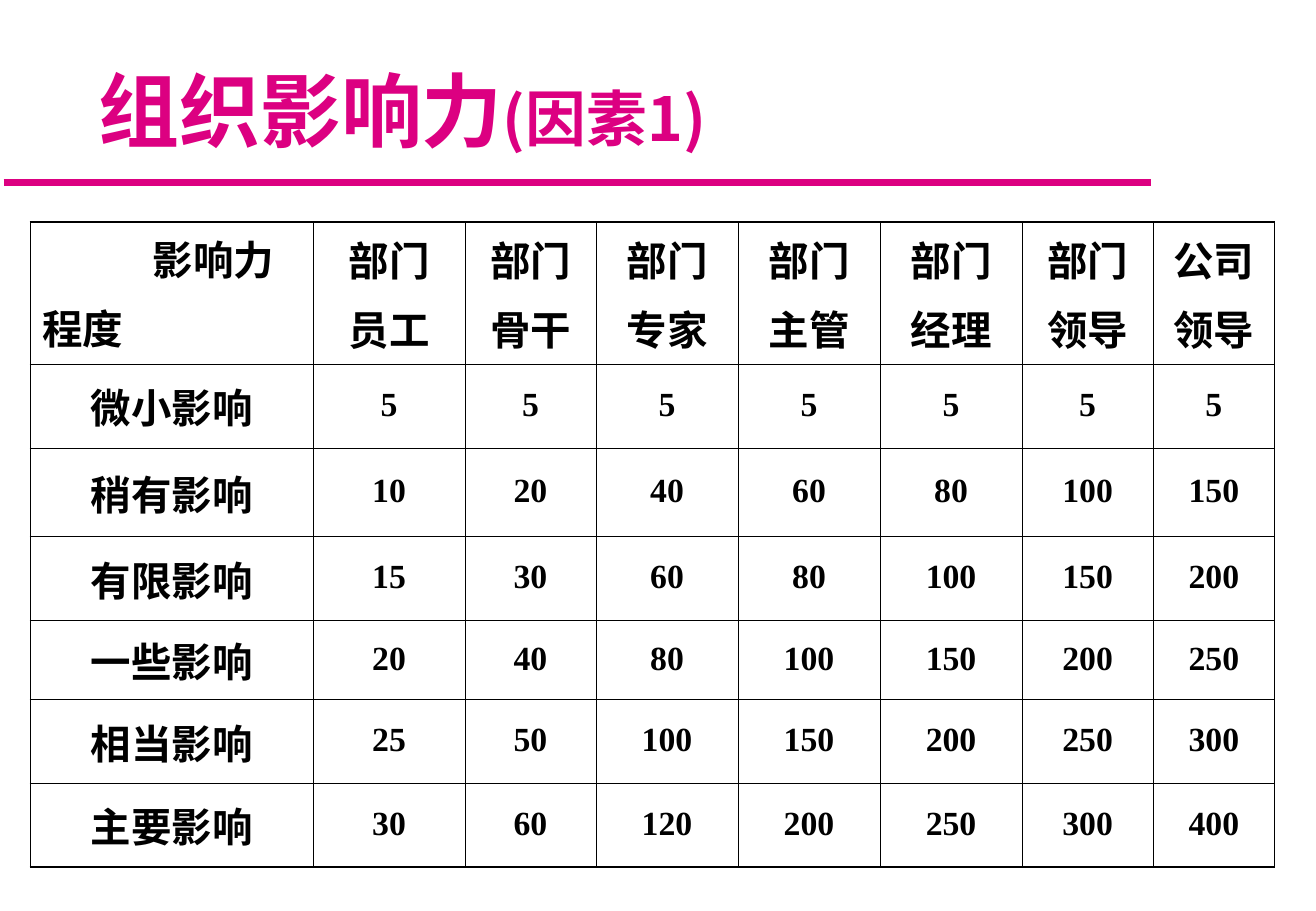
"""Builds the slide scoring organisational influence (factor 1)."""
from typing import NamedTuple

from lxml import etree
from pptx import Presentation
from pptx.dml.color import RGBColor
from pptx.enum.shapes import MSO_CONNECTOR
from pptx.enum.text import MSO_ANCHOR, MSO_AUTO_SIZE, PP_ALIGN
from pptx.oxml.ns import qn
from pptx.util import Inches, Pt

STRAIGHT = MSO_CONNECTOR.STRAIGHT
TOP, MIDDLE, BOTTOM = MSO_ANCHOR.TOP, MSO_ANCHOR.MIDDLE, MSO_ANCHOR.BOTTOM
NO_AUTOFIT = MSO_AUTO_SIZE.NONE
LEFT, CENTER = PP_ALIGN.LEFT, PP_ALIGN.CENTER

COLORS = {"accent": "DC0081", "ink": "000000"}
THIN, THICK = 0.45, 1.08
COL_WIDTHS = [2.33, 1.25, 1.08, 1.17, 1.17, 1.17, 1.08, 1]
ROW_HEIGHTS = [1.17, 0.69, 0.73, 0.69, 0.65, 0.69, 0.69]
CORNER_INDENT = 0.91


class TextStyle(NamedTuple):
    """Font and spacing shared by the paragraphs of a text."""

    latin: str
    east_asian: str
    color: str
    size: float
    align: PP_ALIGN = CENTER
    line_spacing: float = 1.0


class Level(NamedTuple):
    """A degree of influence with its score for each role."""

    label: str
    scores: list[int]


TITLE = TextStyle("Noto Sans CJK SC", "Noto Sans CJK SC", "accent", 48, LEFT)
LABEL = TextStyle("Times New Roman", "Noto Sans CJK SC", "ink", 24)
CORNER = LABEL._replace(align=LEFT)
SCORE = LABEL._replace(size=20, line_spacing=0.9)

ROLES = ["部门\n员工", "部门\n骨干", "部门\n专家", "部门\n主管",
         "部门\n经理", "部门\n领导", "公司\n领导"]
LEVELS = [
    Level("微小影响", [5, 5, 5, 5, 5, 5, 5]),
    Level("稍有影响", [10, 20, 40, 60, 80, 100, 150]),
    Level("有限影响", [15, 30, 60, 80, 100, 150, 200]),
    Level("一些影响", [20, 40, 80, 100, 150, 200, 250]),
    Level("相当影响", [25, 50, 100, 150, 200, 250, 300]),
    Level("主要影响", [30, 60, 120, 200, 250, 300, 400]),
]


def style_paragraph(p, style: TextStyle) -> None:
    """Apply a text style to a paragraph."""
    p.alignment = style.align
    p.line_spacing = style.line_spacing
    font = p.font
    font.name, font.size, font.bold = style.latin, Pt(style.size), True
    font.color.rgb = RGBColor.from_string(COLORS[style.color])
    defaults = p._p.pPr.find(qn("a:defRPr"))
    etree.SubElement(defaults, qn("a:ea"), typeface=style.east_asian)


def add_title(slide) -> None:
    """Place the title and its smaller factor number."""
    sp = slide.shapes.title
    sp.left, sp.top = Inches(0.33), Inches(0.25)
    sp.width, sp.height = Inches(9.83), Inches(1.08)
    tf = sp.text_frame
    tf.auto_size, tf.vertical_anchor = NO_AUTOFIT, BOTTOM
    tf.margin_left, tf.margin_bottom = Inches(0.48), Inches(0.03)
    p = tf.paragraphs[0]
    style_paragraph(p, TITLE)
    p.add_run().text = "组织影响力"
    r = p.add_run()
    r.text = "(因素1)"
    r.font.size = Pt(36)


def add_rule(slide) -> None:
    """Draw the rule under the title."""
    line = slide.shapes.add_connector(
        STRAIGHT, Inches(0.03), Inches(1.5), Inches(9.48), Inches(1.5))
    line.line.color.rgb = RGBColor.from_string(COLORS["accent"])
    line.line.width = Pt(4)
    etree.SubElement(line._element.spPr, qn("a:effectLst"))


def set_borders(cell, row: int, col: int) -> None:
    """Give a cell thin borders, thick on the table's outer edge."""
    outer = {"L": col == 0, "R": col == len(COL_WIDTHS) - 1,
             "T": row == 0, "B": row == len(ROW_HEIGHTS) - 1}
    tc_pr = cell._tc.get_or_add_tcPr()
    for side, is_outer in outer.items():
        width = Pt(THICK if is_outer else THIN)
        ln = etree.SubElement(tc_pr, qn(f"a:ln{side}"), w=str(int(width)))
        fill = etree.SubElement(ln, qn("a:solidFill"))
        etree.SubElement(fill, qn("a:srgbClr"), val=COLORS["ink"])


def fill_cell(cell, text: str, style: TextStyle) -> None:
    """Write a cell's text, one paragraph a line."""
    cell.text = text
    cell.vertical_anchor = TOP if style is CORNER else MIDDLE
    cell.fill.background()
    for i, p in enumerate(cell.text_frame.paragraphs):
        if i:
            p.space_before = Pt(6)
        style_paragraph(p, style)


def add_score_table(slide) -> None:
    """Build the table of scores by degree and role."""
    rows = [["影响力\n程度", *ROLES]]
    rows += [[level.label, *map(str, level.scores)] for level in LEVELS]
    table = slide.shapes.add_table(
        len(rows), len(COL_WIDTHS), Inches(0.25), Inches(1.83),
        Inches(sum(COL_WIDTHS)), Inches(sum(ROW_HEIGHTS))).table
    table.first_row = table.horz_banding = False
    for column, width in zip(table.columns, COL_WIDTHS):
        column.width = Inches(width)
    for table_row, height in zip(table.rows, ROW_HEIGHTS):
        table_row.height = Inches(height)
    for row, texts in enumerate(rows):
        for col, text in enumerate(texts):
            cell = table.cell(row, col)
            set_borders(cell, row, col)
            style = SCORE if row and col else LABEL if row or col else CORNER
            fill_cell(cell, text, style)
    heading = table.cell(0, 0).text_frame.paragraphs[0]
    heading._p.pPr.set("marL", str(int(Inches(CORNER_INDENT))))


def main() -> None:
    """Create and save the presentation."""
    prs = Presentation()
    prs.slide_width, prs.slide_height = Inches(10.84), Inches(7.5)
    slide = prs.slides.add_slide(prs.slide_layouts[5])
    add_rule(slide)
    add_title(slide)
    add_score_table(slide)
    prs.save("out.pptx")


if __name__ == "__main__":
    main()
